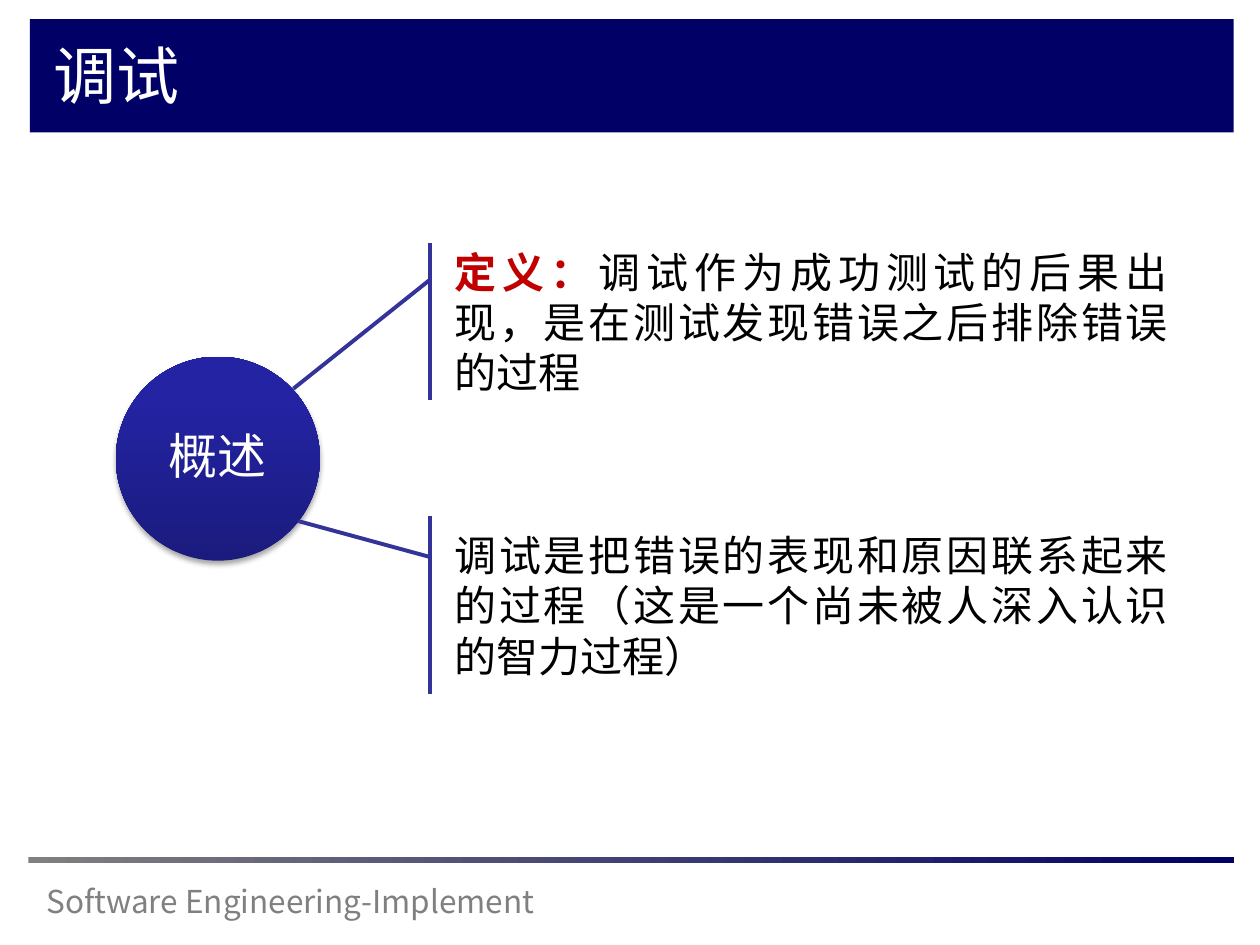
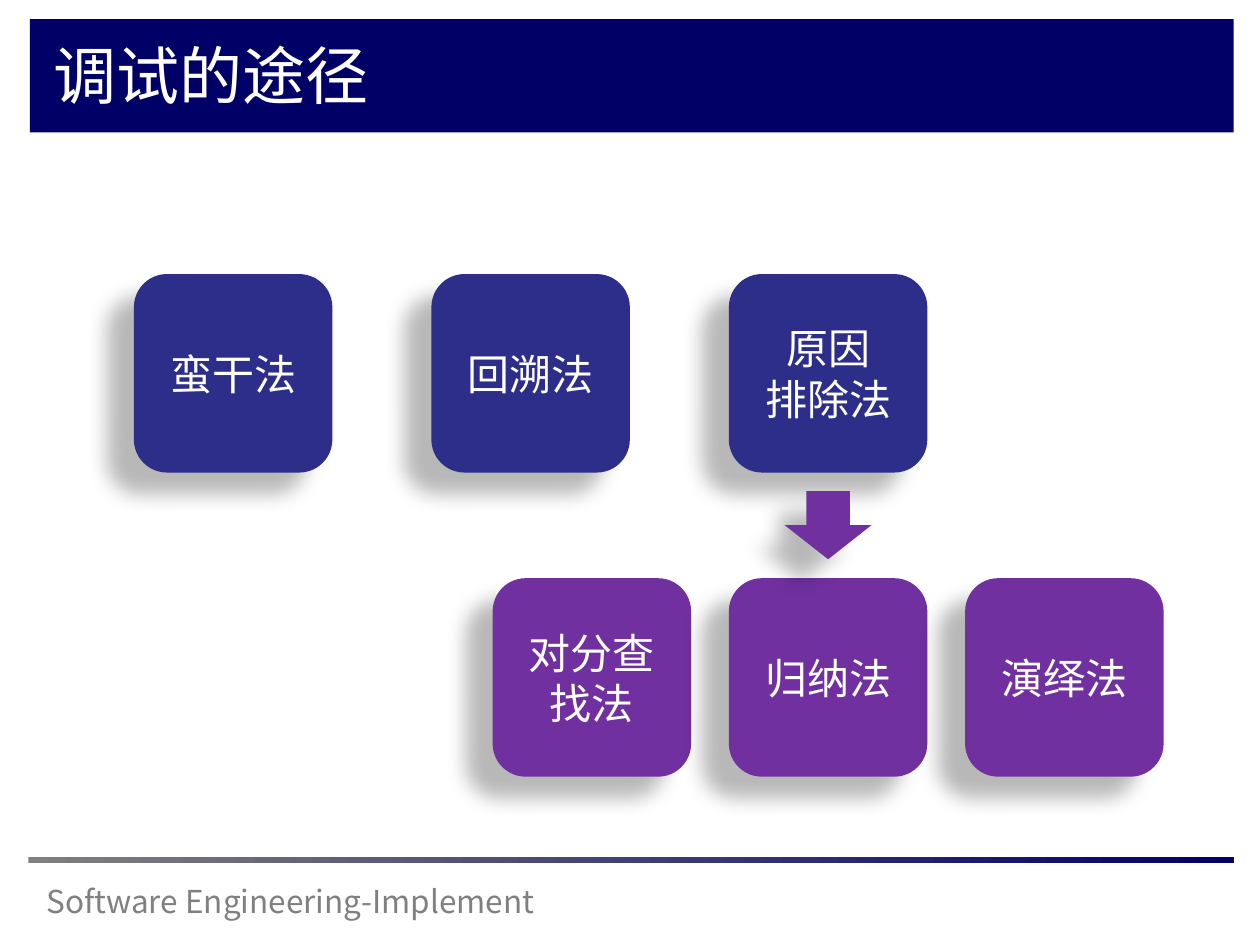
from lxml import etree
from pptx import Presentation
from pptx.dml.color import RGBColor
from pptx.enum.shapes import MSO_SHAPE
from pptx.enum.text import MSO_ANCHOR, MSO_AUTO_SIZE, PP_ALIGN
from pptx.oxml.ns import qn
from pptx.util import Pt

RECTANGLE = MSO_SHAPE.RECTANGLE
OVAL = MSO_SHAPE.OVAL
ROUNDED = MSO_SHAPE.ROUNDED_RECTANGLE
DOWN_ARROW = MSO_SHAPE.DOWN_ARROW
CALLOUT = MSO_SHAPE.LINE_CALLOUT_1_ACCENT_BAR
LEFT, CENTER, JUSTIFY = PP_ALIGN.LEFT, PP_ALIGN.CENTER, PP_ALIGN.JUSTIFY
TOP, MIDDLE = MSO_ANCHOR.TOP, MSO_ANCHOR.MIDDLE
NO_AUTOFIT = MSO_AUTO_SIZE.NONE

FONT = "Noto Sans CJK SC"
NAVY, BLUE, INDIGO, PURPLE = "000066", "2D2D8A", "333399", "7030A0"
RED, GREY, BLACK, WHITE = "C00000", "808080", "000000", "FFFFFF"
TITLE_ONLY = 5

# Shadow settings: opacity %, blur pt, distance pt, direction in degrees
SOFT_SHADOW = (35, 3.1, 1.8, 90)
DEEP_SHADOW = (28, 11.8, 19.7, 141)


def color(hex_string):
    return RGBColor.from_string(hex_string)


def write(shape, *paragraphs, size=24, text_color=WHITE, align=CENTER,
          anchor=MIDDLE, line_spacing=None):
    """Each paragraph is a string or a list of (text, color, bold) runs."""
    frame = shape.text_frame
    frame.word_wrap = True
    frame.auto_size = NO_AUTOFIT
    frame.vertical_anchor = anchor
    for index, content in enumerate(paragraphs):
        paragraph = frame.paragraphs[0] if index == 0 else frame.add_paragraph()
        paragraph.alignment = align
        paragraph.line_spacing = line_spacing
        # Keep punctuation inside the text margins
        paragraph._p.get_or_add_pPr().set("hangingPunct", "0")
        runs = [(content, text_color, False)] if isinstance(content, str) else content
        for text, run_color, bold in runs:
            run = paragraph.add_run()
            run.text = text
            run.font.size = Pt(size)
            run.font.bold = bold
            run.font.name = FONT
            run.font.color.rgb = color(run_color)
            latin = run._r.rPr.find(qn("a:latin"))
            latin.addnext(etree.Element(qn("a:ea"), typeface=FONT))


def add_shadow(shape, opacity, blur, distance, direction):
    effects = shape.element.spPr.find(qn("a:effectLst"))
    shadow = etree.SubElement(
        effects, qn("a:outerShdw"), blurRad=str(Pt(blur)), dist=str(Pt(distance)),
        dir=str(direction * 60000), algn="ctr", rotWithShape="0")
    shade = etree.SubElement(shadow, qn("a:srgbClr"), val=BLACK)
    etree.SubElement(shade, qn("a:alpha"), val=str(opacity * 1000))


def add_shape(slide, kind, left, top, width, height, fill=None, line=None,
              shadow=None):
    shape = slide.shapes.add_shape(kind, Pt(left), Pt(top), Pt(width), Pt(height))
    shape.shadow.inherit = False
    if fill:
        shape.fill.solid()
        shape.fill.fore_color.rgb = color(fill)
    if line:
        shape.line.color.rgb = color(line)
        shape.line.width = Pt(2.25)
    else:
        shape.line.fill.background()
    if shadow:
        add_shadow(shape, *shadow)
    return shape


def fill_gradient(shape, start, end, angle, end_position=1.0):
    shape.fill.gradient()
    shape.fill.gradient_angle = angle
    first, last = shape.fill.gradient_stops
    first.color.rgb, first.position = color(start), 0
    last.color.rgb, last.position = color(end), end_position


def add_titled_slide(presentation, title_text):
    """Title band, footer rule and footer text."""
    slide = presentation.slides.add_slide(presentation.slide_layouts[TITLE_ONLY])
    add_shape(slide, RECTANGLE, 17, 11, 688, 64.6, fill=NAVY)

    title = slide.shapes.title
    title.left, title.top, title.width, title.height = Pt(23.6), Pt(17), Pt(634), Pt(53.3)
    write(title, title_text, size=36, align=LEFT, anchor=TOP)
    title.element.getparent().append(title.element)  # in front of the band

    footer = slide.shapes.add_textbox(Pt(19.4), Pt(500.4), Pt(372), Pt(28.8))
    write(footer, "Software Engineering-Implement", size=18, text_color=GREY,
          align=LEFT, anchor=TOP)
    rule = add_shape(slide, RECTANGLE, 16.2, 489.6, 689, 3.6)
    fill_gradient(rule, GREY, NAVY, 0)
    return slide


def add_topic_circle(slide, left, top, diameter, text):
    circle = add_shape(slide, OVAL, left, top, diameter, diameter, shadow=SOFT_SHADOW)
    fill_gradient(circle, "1B1B7E", "2323A3", 90, end_position=0.8)
    write(circle, text, size=28, line_spacing=0.9)


def add_callout(slide, top, height, pointer_end, content):
    """pointer_end is (y, x) as fractions of the callout box."""
    callout = add_shape(slide, CALLOUT, 252.5, top, 422, height, fill=WHITE, line=INDIGO)
    for index, value in enumerate((0.232, -0.016, *pointer_end)):
        callout.adjustments[index] = value
    write(callout, content, text_color=BLACK, align=JUSTIFY)


def add_tile_row(slide, left, top, side, pitch, fill, labels):
    for index, lines in enumerate(labels):
        tile = add_shape(slide, ROUNDED, left + index * pitch, top, side, side,
                         fill=fill, shadow=DEEP_SHADOW)
        write(tile, *lines)


def build_overview(presentation):
    slide = add_titled_slide(presentation, "调试")
    add_topic_circle(slide, 66.2, 203.8, 116.6, "概述")
    add_callout(slide, 139, 89.6, (0.927, -0.201), [
        ("定义：", RED, True),
        ("调试作为成功测试的后果出现，是在测试发现错误之后排除错误的过程", BLACK, False)])
    add_callout(slide, 294.7, 102, (0.031, -0.194),
                "调试是把错误的表现和原因联系起来的过程（这是一个尚未被人深入认识的智力过程）")


def build_approaches(presentation):
    slide = add_titled_slide(presentation, "调试的途径")
    side, pitch, left = 113.4, 170, 76.5
    add_tile_row(slide, left, 156.6, side, pitch, BLUE,
                 [["蛮干法"], ["回溯法"], ["原因", "排除法"]])
    # The lower row is centred under the last tile above
    parent_left, lower_pitch = left + 2 * pitch, 135
    add_tile_row(slide, parent_left - lower_pitch, 330.4, side, lower_pitch, PURPLE,
                 [["对分查找法"], ["归纳法"], ["演绎法"]])
    arrow_width = 49.6
    add_shape(slide, DOWN_ARROW, parent_left + (side - arrow_width) / 2, 280.6,
              arrow_width, 39, fill=PURPLE, shadow=DEEP_SHADOW)


def main():
    presentation = Presentation()
    presentation.slide_width, presentation.slide_height = Pt(720), Pt(540)
    build_overview(presentation)
    build_approaches(presentation)
    presentation.save("out.pptx")


if __name__ == "__main__":
    main()
